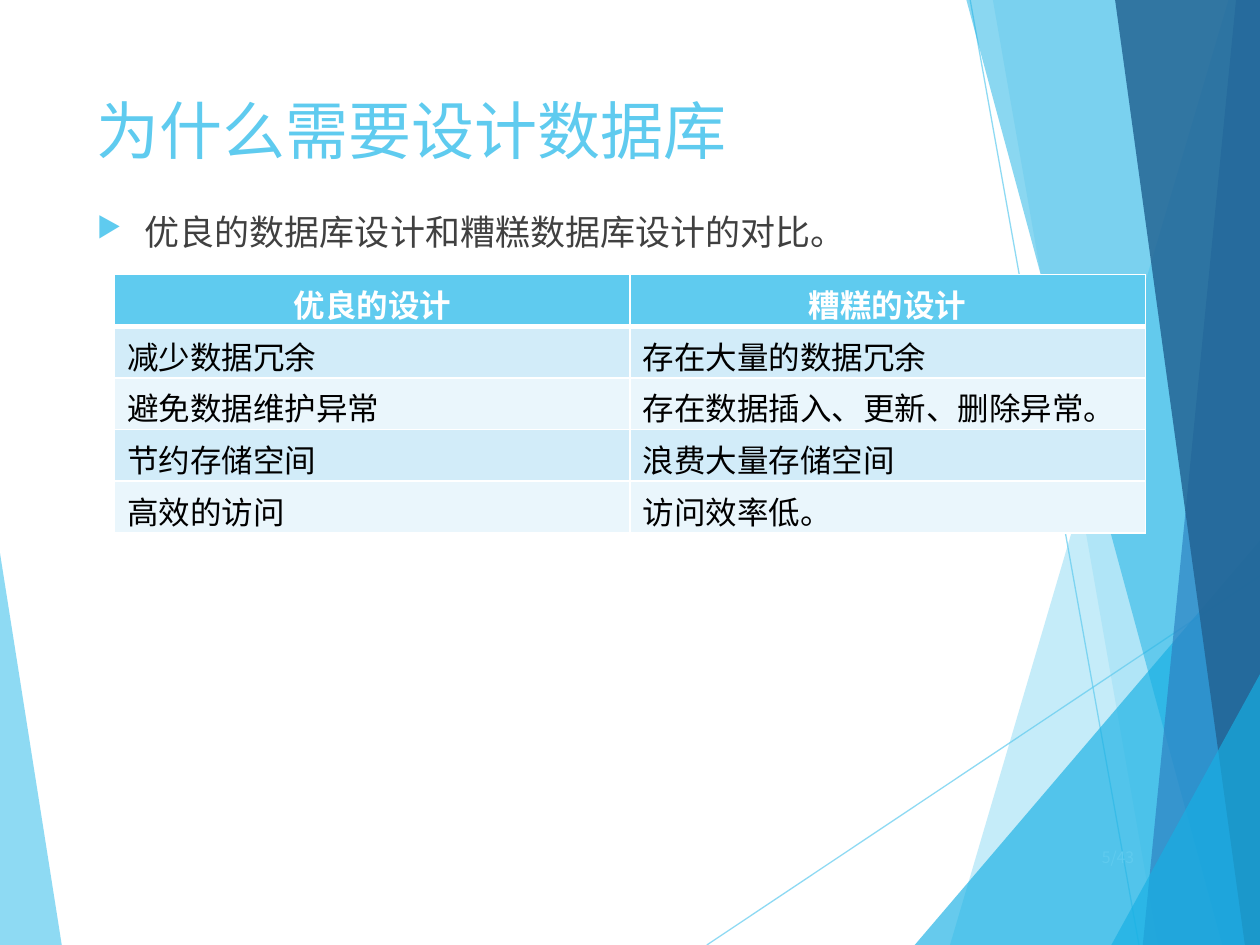
import lxml.etree
import pptx
import pptx.dml.color
import pptx.enum.shapes
import pptx.enum.text
import pptx.oxml.ns
import pptx.util

Inches, Pt = pptx.util.Inches, pptx.util.Pt
qn = pptx.oxml.ns.qn
ALIGN, ANCHOR = pptx.enum.text.PP_ALIGN, pptx.enum.text.MSO_ANCHOR

THEME = {
    "font": "Noto Sans CJK SC",
    "sky": "5FCBEF", "cyan": "17B0E4", "blue": "2E83C3", "navy": "226292",
    "body": "404040", "black": "000000", "white": "FFFFFF",
    "bands": ("D2ECF9", "EAF6FC"),
    "title_size": 36, "body_size": 20, "table_size": 18, "page_size": 9,
}

TITLE = "为什么需要设计数据库"
POINT = "优良的数据库设计和糟糕数据库设计的对比。"
PAGE = "5/43"
COMPARISON = [
    ("优良的设计", "糟糕的设计"),
    ("减少数据冗余", "存在大量的数据冗余"),
    ("避免数据维护异常", "存在数据插入、更新、删除异常。"),
    ("节约存储空间", "浪费大量存储空间"),
    ("高效的访问", "访问效率低。"),
]

# Corner points, colour, opacity in percent; back to front
LEFT_FACET = ([(0, 4.39), (0.49, 7.5), (0, 7.5)], "sky", 70)
RAYS = [((5.61, 7.5), (10, 4.57)), ((7.7, 0), (9.04, 7.5))]
RIGHT_FACETS = [
    ([(9.75, 0), (7.54, 7.5), (10, 7.5), (10, 0)], "sky", 36),
    ([(7.88, 0), (9.19, 7.5), (10, 7.5), (10, 0)], "sky", 20),
    ([(7.26, 7.5), (10, 4.29), (10, 7.5)], "cyan", 66),
    ([(7.67, 0), (9.7, 7.5), (10, 7.5), (10, 0)], "cyan", 50),
    ([(9.81, 0), (9.07, 7.5), (10, 7.5), (10, 0)], "blue", 70),
    ([(8.85, 0), (9.88, 7.5), (10, 7.5), (10, 0)], "navy", 82),
    ([(8.82, 7.5), (10, 5.35), (10, 7.5)], "cyan", 66),
]


def rgb(code):
    return pptx.dml.color.RGBColor.from_string(code)


def paint(fill, colour, opacity):
    """Fill with a solid colour at the given opacity in percent."""
    fill.solid()
    fill.fore_color.rgb = rgb(colour)
    srgb = fill._xPr.find(".//" + qn("a:srgbClr"))
    lxml.etree.SubElement(srgb, qn("a:alpha"), val=str(opacity * 1000))


def add_facet(slide, corners, colour, opacity):
    points = [(Inches(x), Inches(y)) for x, y in corners]
    builder = slide.shapes.build_freeform(*points[0])
    builder.add_line_segments(points[1:], close=True)
    facet = builder.convert_to_shape()
    facet.shadow.inherit = False
    facet.line.fill.background()
    paint(facet.fill, THEME[colour], opacity)


def add_ray(slide, start, end):
    ray = slide.shapes.add_connector(
        pptx.enum.shapes.MSO_CONNECTOR.STRAIGHT,
        *(Inches(v) for v in (*start, *end)))
    ray.line.width = Pt(0.75)
    paint(ray.line.fill, THEME["sky"], 70)
    lxml.etree.SubElement(ray._element.spPr, qn("a:effectLst"))


def write(frame, text, size, colour, align=ALIGN.LEFT, bold=False):
    frame.text = text
    paragraph = frame.paragraphs[0]
    paragraph.alignment = align
    font = paragraph.runs[0].font
    font.name, font.size, font.bold = THEME["font"], Pt(size), bold
    font.color.rgb = rgb(colour)
    lxml.etree.SubElement(font._element, qn("a:ea"), typeface=THEME["font"])
    return paragraph


def add_text(slide, box, text, size, colour, anchor, align=ALIGN.LEFT):
    frame = slide.shapes.add_textbox(*(Inches(v) for v in box)).text_frame
    frame.word_wrap = True
    frame.vertical_anchor = anchor
    return write(frame, text, size, colour, align)


def add_bullet(paragraph):
    paragraph.space_before = Pt(10)
    props = paragraph._p.get_or_add_pPr()
    props.set("marL", str(Inches(0.38)))
    props.set("indent", str(-Inches(0.38)))
    bullet_colour = lxml.etree.SubElement(props, qn("a:buClr"))
    lxml.etree.SubElement(bullet_colour, qn("a:srgbClr"), val=THEME["sky"])
    lxml.etree.SubElement(props, qn("a:buSzPct"), val="80000")
    lxml.etree.SubElement(props, qn("a:buChar"), char="▶")


def set_borders(cell, bottom, top):
    """Draw white borders; they go before the cell's fill in the XML."""
    props = cell._tc.get_or_add_tcPr()
    widths = {"a:lnL": 1, "a:lnR": 1, "a:lnT": top, "a:lnB": bottom}
    for position, (tag, width) in enumerate(widths.items()):
        border = lxml.etree.Element(qn(tag), w=str(Pt(width)))
        fill = lxml.etree.SubElement(border, qn("a:solidFill"))
        lxml.etree.SubElement(fill, qn("a:srgbClr"), val=THEME["white"])
        props.insert(position, border)


def add_comparison(slide):
    row_height, column_width = 0.41, 4.09
    columns = len(COMPARISON[0])
    table = slide.shapes.add_table(
        len(COMPARISON), columns, Inches(0.91), Inches(2.18),
        Inches(column_width * columns),
        Inches(row_height * len(COMPARISON))).table
    for r, row in enumerate(COMPARISON):
        header = r == 0
        for c, text in enumerate(row):
            cell = table.cell(r, c)
            cell.vertical_anchor = ANCHOR.MIDDLE
            cell.fill.solid()
            cell.fill.fore_color.rgb = rgb(
                THEME["sky"] if header else THEME["bands"][(r - 1) % 2])
            write(cell.text_frame, text, THEME["table_size"],
                  THEME["white" if header else "black"],
                  ALIGN.CENTER if header else ALIGN.LEFT, header)
            set_borders(cell, 3 if header else 1, 3 if r == 1 else 1)


def main():
    deck = pptx.Presentation()
    deck.slide_width, deck.slide_height = Inches(10), Inches(7.5)
    slide = deck.slides.add_slide(deck.slide_layouts[6])

    add_facet(slide, *LEFT_FACET)
    for start, end in RAYS:
        add_ray(slide, start, end)
    for facet in RIGHT_FACETS:
        add_facet(slide, *facet)

    add_text(slide, (0.67, 0.67, 8.43, 0.71), TITLE, THEME["title_size"],
             THEME["sky"], ANCHOR.MIDDLE)
    add_bullet(add_text(slide, (0.67, 1.62, 8.43, 4.82), POINT,
                        THEME["body_size"], THEME["body"], ANCHOR.TOP))
    add_comparison(slide)
    add_text(slide, (8.46, 6.6, 0.64, 0.4), PAGE, THEME["page_size"],
             THEME["sky"], ANCHOR.MIDDLE, ALIGN.RIGHT)
    deck.save("out.pptx")


if __name__ == "__main__":
    main()
